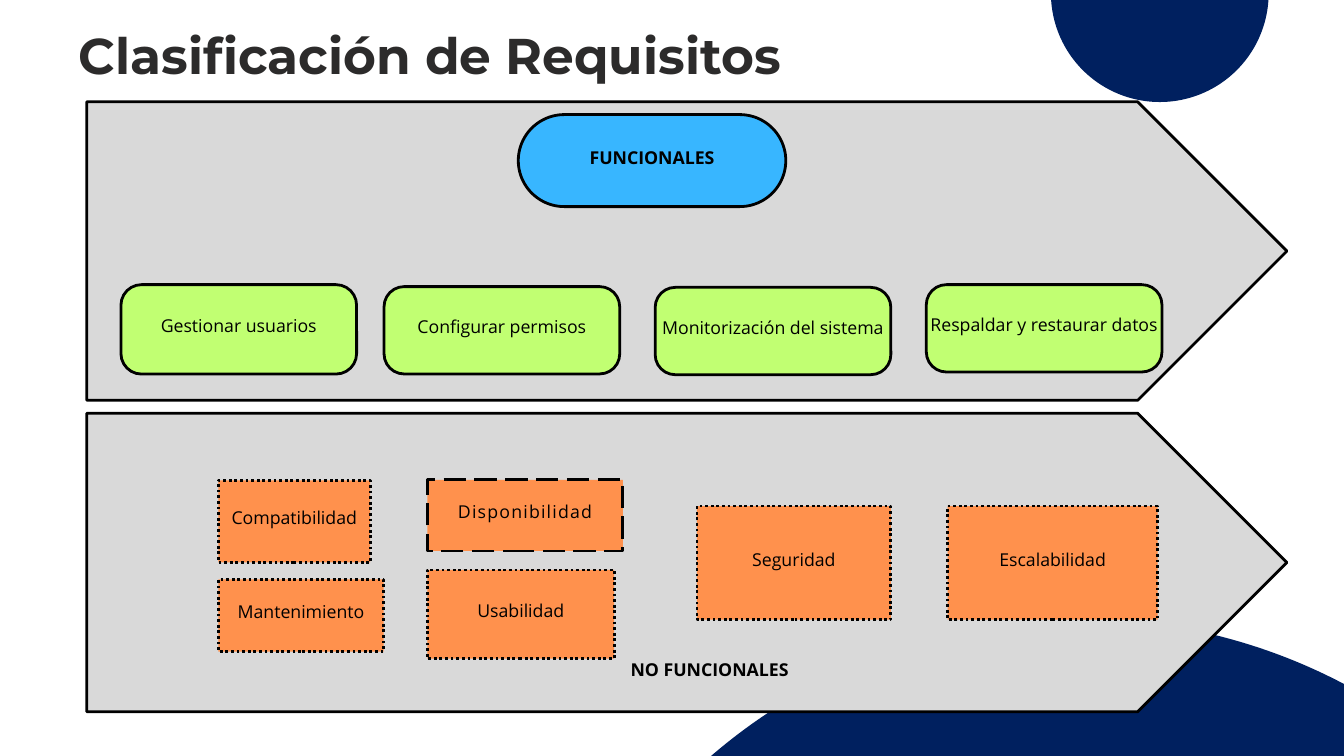
from pptx import Presentation
from pptx.dml.color import RGBColor
from pptx.enum.dml import MSO_LINE
from pptx.enum.shapes import MSO_SHAPE
from pptx.enum.text import MSO_ANCHOR, MSO_AUTO_SIZE, PP_ALIGN
from pptx.util import Pt

NAVY = RGBColor(0x00, 0x20, 0x5F)
GREY = RGBColor(0xD9, 0xD9, 0xD9)
BLUE = RGBColor(0x38, 0xB6, 0xFF)
GREEN = RGBColor(0xC1, 0xFF, 0x72)
ORANGE = RGBColor(0xFF, 0x91, 0x4D)
BLACK = RGBColor(0x00, 0x00, 0x00)
CHARCOAL = RGBColor(0x2C, 0x2B, 0x2B)

BAND_LEFT, BAND_WIDTH, BAND_HEIGHT = 92.9, 1286, 319.8


def add_block(page, kind, box, fill, dash=None, outlined=True):
    shape = page.shapes.add_shape(kind, *(Pt(length) for length in box))
    shape.shadow.inherit = False
    shape.fill.solid()
    shape.fill.fore_color.rgb = fill
    if outlined:
        shape.line.color.rgb = BLACK
        shape.line.width = Pt(3)
        if dash is not None:
            shape.line.dash_style = dash
    else:
        shape.line.fill.background()
    return shape


def write_label(shape, text, bold=False, spacing=None):
    frame = shape.text_frame
    frame.text = text
    frame.word_wrap = False
    frame.vertical_anchor = MSO_ANCHOR.MIDDLE
    frame.margin_left = frame.margin_right = frame.margin_top = Pt(4)
    frame.margin_bottom = Pt(15.5)
    para = frame.paragraphs[0]
    para.alignment = PP_ALIGN.CENTER
    para.line_spacing = Pt(26.6)
    span = para.runs[0]
    span.font.name = "Open Sans"
    span.font.size = Pt(19)
    span.font.bold = bold
    span.font.color.rgb = BLACK
    if spacing is not None:
        span.font._element.set("spc", str(spacing))


def add_title(page, box):
    title = page.shapes.title
    title.left, title.top, title.width, title.height = (Pt(length) for length in box)
    frame = title.text_frame
    frame.text = "Clasificación de Requisitos"
    frame.word_wrap = True
    frame.auto_size = MSO_AUTO_SIZE.NONE
    frame.vertical_anchor = MSO_ANCHOR.TOP
    frame.margin_left = frame.margin_right = frame.margin_top = frame.margin_bottom = 0
    para = frame.paragraphs[0]
    para.alignment = PP_ALIGN.LEFT
    para.line_spacing = Pt(75.3)
    font = para.runs[0].font
    font.name = "Montserrat"
    font.size = Pt(53.8)
    font.bold = True
    font.color.rgb = CHARCOAL


def add_circles(page):
    for left, top, size in ((551.5, 663, 1212), (1126, -124, 233.3)):
        add_block(page, MSO_SHAPE.OVAL, (left, top, size, size), NAVY, outlined=False)


def add_functional(page, box):
    left, top = box[:2]
    add_block(page, MSO_SHAPE.PENTAGON, box, GREY)
    heading = add_block(page, MSO_SHAPE.ROUNDED_RECTANGLE,
                        (left + 462.4, top + 13.7, 286.6, 98.6), BLUE)
    heading.adjustments[0] = 0.5
    write_label(heading, "FUNCIONALES", bold=True)

    requirements = (
        ("Gestionar usuarios", 36.7, 195.9, 95.8),
        ("Configurar permisos", 318.6, 198, 93.6),
        ("Monitorización del sistema", 609.1, 198.8, 93.6),
        ("Respaldar y restaurar datos", 899.6, 195.9, 93.6),
    )
    for text, x, y, height in requirements:
        card = add_block(page, MSO_SHAPE.ROUNDED_RECTANGLE,
                         (left + x, top + y, 252.5, height), GREEN)
        card.adjustments[0] = 0.23
        write_label(card, text)


def add_non_functional(page, box):
    left, top = box[:2]
    add_block(page, MSO_SHAPE.PENTAGON, box, GREY)
    heading = page.shapes.add_textbox(Pt(left + 380.9), Pt(top + 226.1), Pt(573), Pt(105.2))
    write_label(heading, "NO FUNCIONALES", bold=True)

    dots, dashes = MSO_LINE.ROUND_DOT, MSO_LINE.LONG_DASH
    requirements = (
        ("Compatibilidad", 141.1, 72, 162.7, 87.8, dots, None),
        ("Disponibilidad", 365, 71.3, 209.5, 76.3, dashes, 130),
        ("Seguridad", 653.8, 99.4, 207.8, 121.7, dots, None),
        ("Usabilidad", 365, 167.8, 200.2, 95, dots, None),
        ("Escalabilidad", 922.3, 99.4, 225.2, 121.7, dots, None),
        ("Mantenimiento", 141.1, 177.9, 177.1, 77.4, dots, None),
    )
    for text, x, y, width, height, dash, spacing in requirements:
        card = add_block(page, MSO_SHAPE.RECTANGLE,
                         (left + x, top + y, width, height), ORANGE, dash)
        write_label(card, text, spacing=spacing)


def main():
    deck = Presentation()
    deck.slide_width, deck.slide_height = Pt(1440), Pt(810)
    page = deck.slides.add_slide(deck.slide_layouts[5])
    add_title(page, (84.2, 15.1, 757.4, 73.4))
    add_circles(page)
    add_functional(page, (BAND_LEFT, 109.1, BAND_WIDTH, BAND_HEIGHT))
    add_non_functional(page, (BAND_LEFT, 442.8, BAND_WIDTH, BAND_HEIGHT))
    deck.save("out.pptx")


if __name__ == "__main__":
    main()
